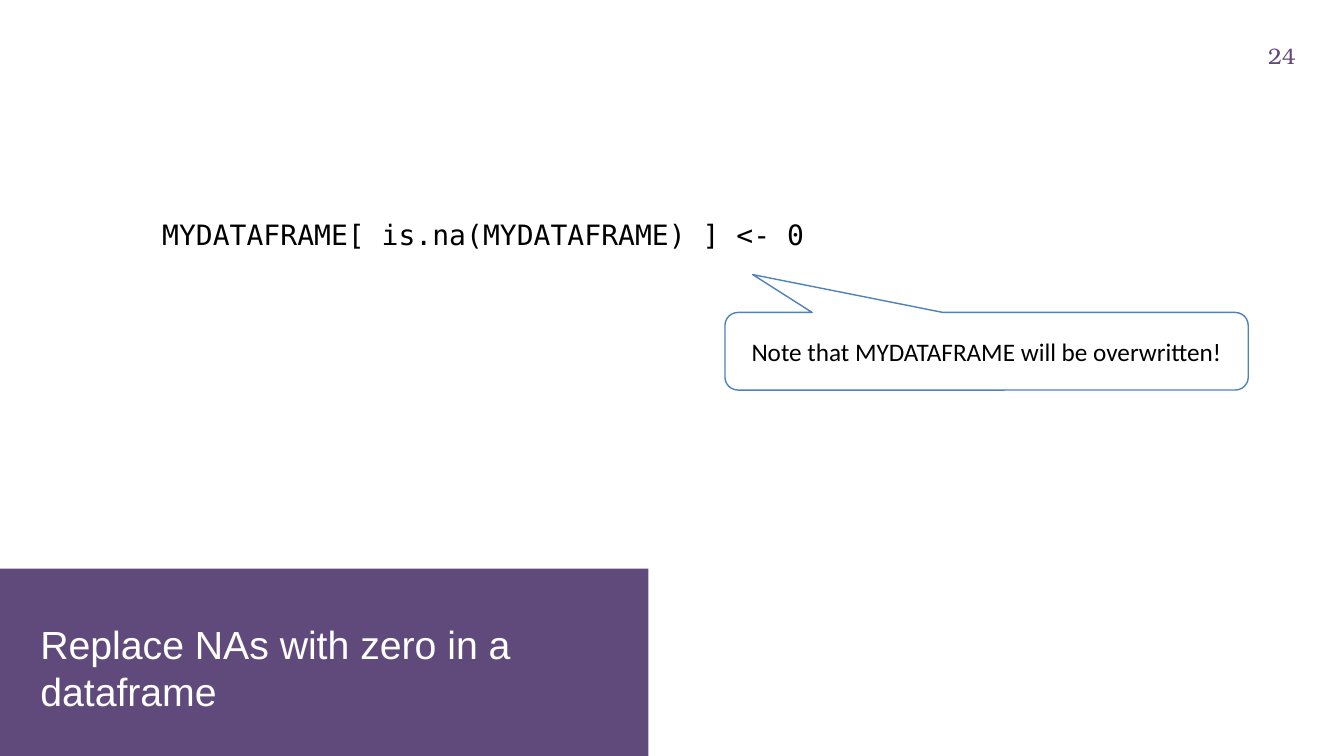
import pptx
import pptx.dml.color
import pptx.enum.shapes
import pptx.enum.text
import pptx.util

Inches = pptx.util.Inches
ANCHOR = pptx.enum.text.MSO_ANCHOR
ALIGN = pptx.enum.text.PP_ALIGN
COLORS = {"purple": "604A7B", "blue": "4F81BD", "white": "FFFFFF", "black": "000000"}


def rgb(name):
    return pptx.dml.color.RGBColor.from_string(COLORS[name])


def write(sp, text, font, size, color, align=ALIGN.LEFT, anchor=ANCHOR.MIDDLE):
    tf = sp.text_frame
    tf.text = text
    tf.word_wrap = True
    tf.auto_size = pptx.enum.text.MSO_AUTO_SIZE.NONE
    tf.vertical_anchor = anchor
    p = tf.paragraphs[0]
    p.alignment = align
    r = p.runs[0]
    r.font.name = font
    r.font.size = pptx.util.Pt(size)
    r.font.color.rgb = rgb(color)


prs = pptx.Presentation()
prs.slide_width = Inches(13.33)
prs.slide_height = Inches(7.5)
s = prs.slides.add_slide(prs.slide_layouts[5])

# Title on a purple panel
title = s.shapes.title
title.left, title.top = Inches(0), Inches(5.64)
title.width, title.height = Inches(6.43), Inches(1.86)
title.fill.solid()
title.fill.fore_color.rgb = rgb("purple")
write(title, "Replace NAs with zero in a dataframe", "Arial", 28, "white")
tf = title.text_frame
tf.margin_left, tf.margin_right = Inches(0.4), Inches(0.1)
tf.margin_top, tf.margin_bottom = Inches(0.3), Inches(0.2)

# Code line
code = s.shapes.add_textbox(Inches(1.51), Inches(2.11), Inches(9.41), Inches(0.77))
write(code, "MYDATAFRAME[ is.na(MYDATAFRAME) ] <- 0", "DejaVu Sans Mono", 20, "black",
      anchor=ANCHOR.TOP)

# Callout pointing at the assignment
note = s.shapes.add_shape(pptx.enum.shapes.MSO_SHAPE.ROUNDED_RECTANGULAR_CALLOUT,
                          Inches(7.19), Inches(3.1), Inches(5.19), Inches(0.77))
note.adjustments[0] = -0.447
note.adjustments[1] = -0.988
note.shadow.inherit = False
note.fill.solid()
note.fill.fore_color.rgb = rgb("white")
note.line.color.rgb = rgb("blue")
note.line.width = pptx.util.Pt(1)
write(note, "Note that MYDATAFRAME will be overwritten!", "Calibri", 18, "black",
      align=ALIGN.CENTER)

# Slide number
number = s.shapes.add_textbox(Inches(12.15), Inches(0.35), Inches(0.8), Inches(0.4))
write(number, "24", "TeX Gyre Bonum", 16, "purple", align=ALIGN.RIGHT)

prs.save("out.pptx")
